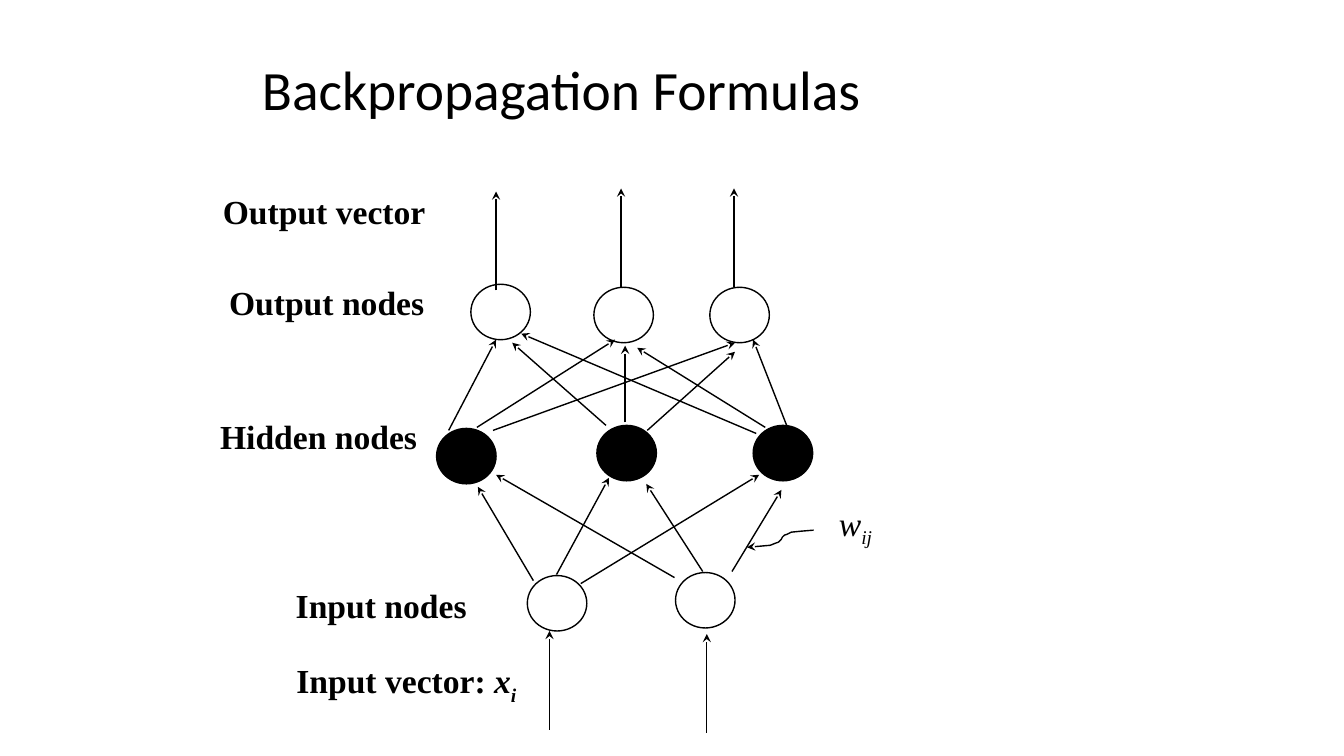
"""Build the slide "Backpropagation Formulas" with its layered network diagram."""
from lxml.etree import SubElement
from pptx import Presentation
from pptx.dml.color import RGBColor
from pptx.enum.shapes import MSO_CONNECTOR, MSO_SHAPE
from pptx.enum.text import MSO_ANCHOR, PP_ALIGN
from pptx.oxml.ns import qn
from pptx.util import Inches, Pt

COLORS = {"ink": "000000"}
INK = RGBColor.from_string(COLORS["ink"])
NODE_WIDTH, NODE_HEIGHT = 0.59, 0.55
ARROW_LENGTH = 0.98


def style_arrow(arrow):
    arrow.line.color.rgb = INK
    arrow.line.width = Pt(1)
    SubElement(arrow.line._get_or_add_ln(), qn("a:tailEnd"), type="stealth")


def add_label(left, top, width, height, pieces, font_name, size, bold=False):
    frame = slide.shapes.add_textbox(
        Inches(left), Inches(top), Inches(width), Inches(height)).text_frame
    paragraph = frame.paragraphs[0]
    for text, italic, subscript in pieces:
        run = paragraph.add_run()
        run.text = text
        run.font.name = font_name
        run.font.size = Pt(size)
        run.font.bold = bold
        run.font.italic = italic
        run.font.color.rgb = INK
        if subscript:
            run._r.get_or_add_rPr().set("baseline", "-25000")
    return frame


prs = Presentation()
prs.slide_width, prs.slide_height = Inches(13.33), Inches(7.5)
slide = prs.slides.add_slide(prs.slide_layouts[6])

output_nodes = [(4.67, 2.82), (5.89, 2.85), (7.04, 2.85)]
hidden_nodes = [(4.33, 4.25), (5.92, 4.22), (7.47, 4.22)]
input_nodes = [(5.23, 5.71), (6.7, 5.68)]
for layer, filled in [(output_nodes, False), (hidden_nodes, True), (input_nodes, False)]:
    for left, top in layer:
        node = slide.shapes.add_shape(
            MSO_SHAPE.OVAL, Inches(left), Inches(top),
            Inches(NODE_WIDTH), Inches(NODE_HEIGHT))
        node.shadow.inherit = False
        node.line.color.rgb = INK
        node.line.width = Pt(1)
        if filled:
            node.fill.solid()
            node.fill.fore_color.rgb = INK
        else:
            node.fill.background()

input_to_hidden = [
    (5.29, 5.76, 4.74, 4.83), (5.52, 5.7, 6.04, 4.74), (5.76, 5.79, 7.53, 4.71),
    (6.69, 5.73, 4.92, 4.71), (6.97, 5.67, 6.41, 4.8), (7.26, 5.67, 7.75, 4.86),
]
hidden_to_output = [
    (4.45, 4.27, 4.92, 3.37), (4.73, 4.24, 6.1, 3.37), (4.89, 4.27, 7.29, 3.4),
    (7.5, 4.3, 5.17, 3.31), (7.81, 4.24, 7.47, 3.37), (7.59, 4.24, 6.32, 3.45),
    (6.01, 4.22, 5.08, 3.4), (6.2, 4.19, 6.2, 3.43), (6.42, 4.27, 7.29, 3.49),
]
vector_starts = [(5.45, 7.24), (7.01, 7.27), (4.92, 2.88), (6.16, 2.85), (7.28, 2.85)]
vectors = [(x, y, x, y - ARROW_LENGTH) for x, y in vector_starts]
for ends in input_to_hidden + hidden_to_output + vectors:
    link = slide.shapes.add_connector(MSO_CONNECTOR.STRAIGHT, *map(Inches, ends))
    style_arrow(link)
    SubElement(link._element.spPr, qn("a:effectLst"))

labels = [
    (2.16, 2.75, 2.16, True, [("Output nodes", False, False)]),
    (2.82, 5.75, 1.92, True, [("Input nodes", False, False)]),
    (2.07, 4.08, 2.18, True, [("Hidden nodes", False, False)]),
    (2.1, 1.84, 2.23, True, [("Output vector", False, False)]),
    (2.82, 6.5, 2.42, True,
     [("Input vector: ", False, False), ("x", True, False), ("i", True, True)]),
    (8.21, 4.94, 0.55, False, [("w", True, False), ("ij", True, True)]),
]
for left, top, width, bold, pieces in labels:
    label = add_label(left, top, width, 0.51, pieces, "Times New Roman", 24, bold)
    label.word_wrap = False
    label.paragraphs[0].alignment = PP_ALIGN.CENTER

weight_curve = [
    (8.07, 5.26), (7.95, 5.27), (7.85, 5.28), (7.81, 5.3), (7.78, 5.31),
    (7.76, 5.33), (7.75, 5.35), (7.74, 5.36), (7.72, 5.38), (7.69, 5.39),
    (7.64, 5.41), (7.53, 5.42), (7.41, 5.43),
]
curve_points = [(Inches(x), Inches(y)) for x, y in weight_curve]
curve_builder = slide.shapes.build_freeform(*curve_points[0])
curve_builder.add_line_segments(curve_points[1:], close=False)
weight_pointer = curve_builder.convert_to_shape()
weight_pointer.shadow.inherit = False
weight_pointer.fill.background()
style_arrow(weight_pointer)

title = add_label(2.5, 0.58, 8.42, 0.67,
                  [("Backpropagation Formulas", False, False)], "Calibri", 39.6)
title.word_wrap = True
title.vertical_anchor = MSO_ANCHOR.MIDDLE
title.paragraphs[0].line_spacing = 0.9

prs.save("out.pptx")
